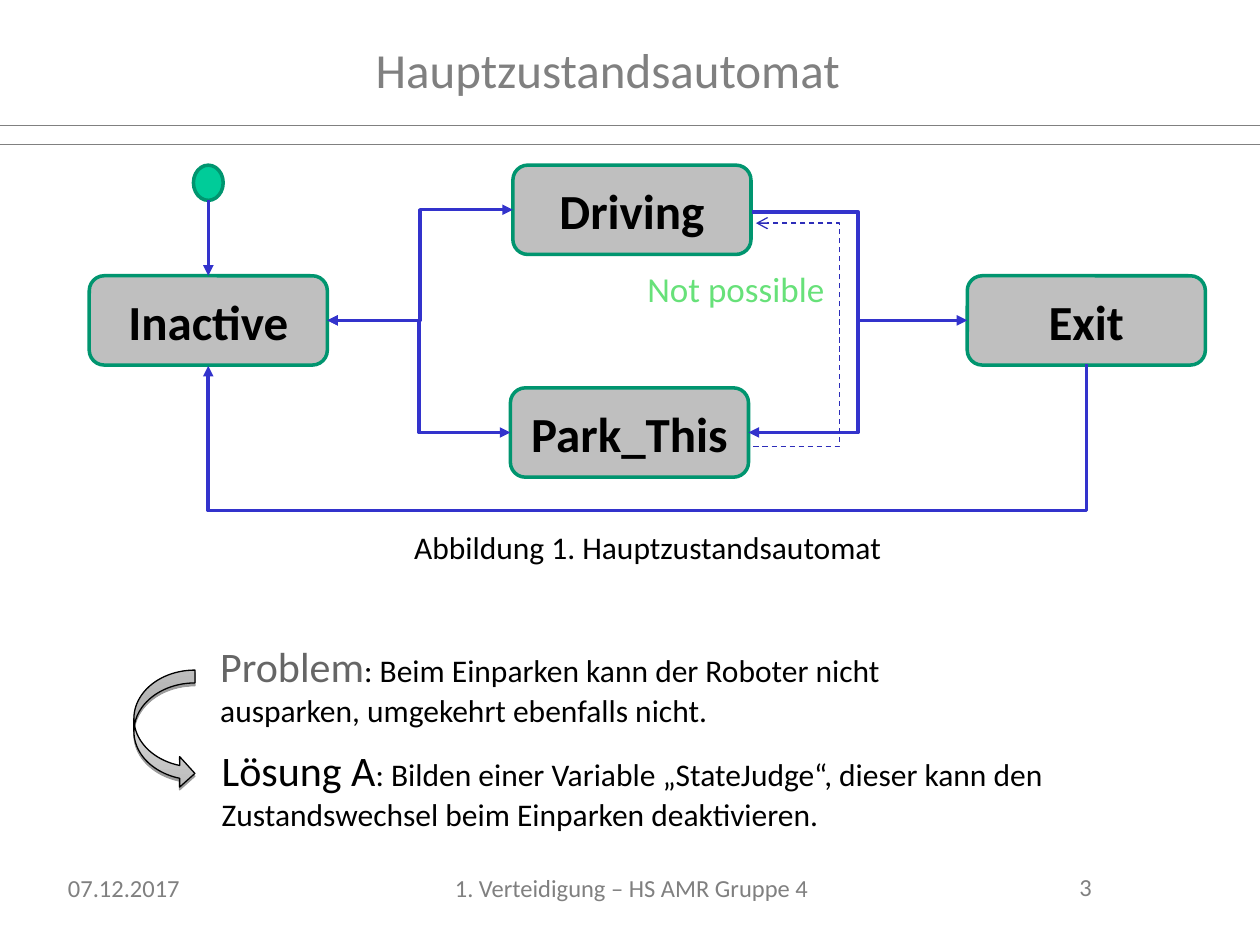
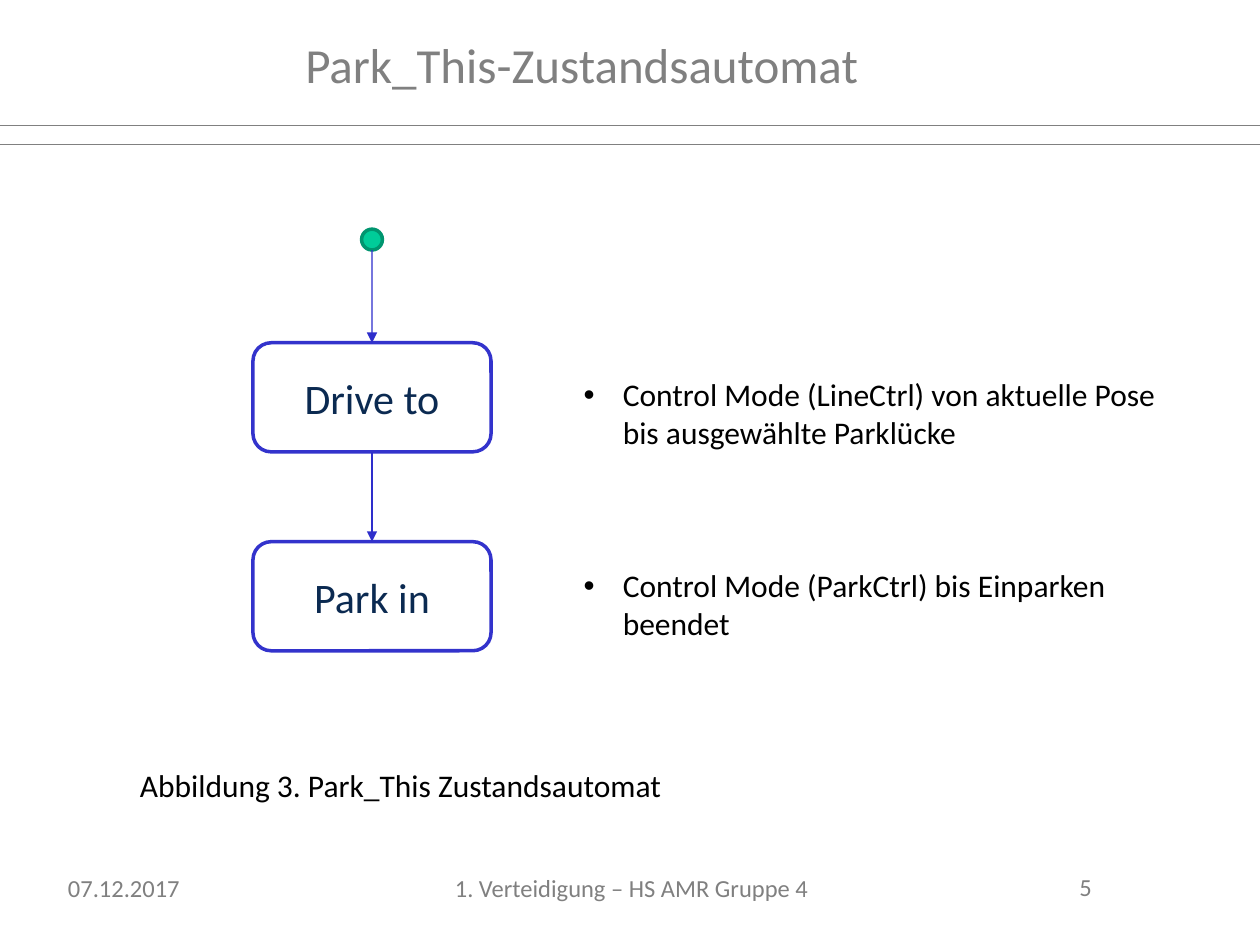
"""Build two slides about the state machines of a parking robot."""
from lxml import etree
from pptx import Presentation
from pptx.dml.color import RGBColor
from pptx.enum.dml import MSO_LINE
from pptx.enum.shapes import MSO_CONNECTOR, MSO_SHAPE
from pptx.enum.text import MSO_ANCHOR, MSO_AUTO_SIZE, PP_ALIGN
from pptx.oxml.ns import qn
from pptx.util import Cm, Pt

STRAIGHT, ELBOW = MSO_CONNECTOR.STRAIGHT, MSO_CONNECTOR.ELBOW
ROUNDED, DOT = MSO_SHAPE.ROUNDED_RECTANGLE, MSO_SHAPE.FLOWCHART_CONNECTOR
CURVED_ARROW = MSO_SHAPE.CURVED_RIGHT_ARROW
DASH = MSO_LINE.DASH
TOP, MIDDLE = MSO_ANCHOR.TOP, MSO_ANCHOR.MIDDLE
LEFT, CENTER = PP_ALIGN.LEFT, PP_ALIGN.CENTER
NO_AUTOFIT = MSO_AUTO_SIZE.NONE
SIDE_TOP, SIDE_LEFT, SIDE_BOTTOM, SIDE_RIGHT = range(4)
FONT = "Calibri"
COLORS = {
    "grey": "808080", "problem": "666666", "black": "000000", "white": "FFFFFF",
    "state": "BFBFBF", "border": "00956F", "start": "00CC99", "arrow": "3333CC",
    "dashed": "2D2DB9", "thin": "2E2ECB", "step": "0B2A51", "hint": "67E179",
    "curve_dark": "BCBCBC", "curve_light": "EDEDED",
}


def rgb(name):
    return RGBColor.from_string(COLORS[name])


def add_run(paragraph, text, size, color="black", bold=False):
    run = paragraph.add_run()
    run.text = text
    run.font.name = FONT
    run.font.size = Pt(size)
    run.font.bold = bold
    run.font.color.rgb = rgb(color)


def add_text(slide, box, *runs, wrap=True):
    frame = slide.shapes.add_textbox(*map(Cm, box)).text_frame
    frame.word_wrap = wrap
    for run in runs:
        add_run(frame.paragraphs[0], *run)


def place(placeholder, box):
    placeholder.left, placeholder.top, placeholder.width, placeholder.height = map(Cm, box)
    frame = placeholder.text_frame
    frame.auto_size = NO_AUTOFIT
    frame.vertical_anchor = TOP
    return frame


def add_frame(slide, title, title_box, number):
    paragraph = place(slide.shapes.title, title_box).paragraphs[0]
    paragraph.alignment = LEFT
    add_run(paragraph, title, 28, "grey")
    for y in (2.52, 2.92):
        add_line(slide, (0, y), (25.4, y), "grey", 0.5)
    footers = (
        ((1.12, 17.48, 2.77, 0.86), "07.12.2017"),
        ((21.51, 17.45, 2.59, 0.86), number),
        ((8.92, 17.48, 7.67, 0.86), "1. Verteidigung – HS AMR Gruppe 4"),
    )
    for box, text in footers:
        add_text(slide, box, (text, 14, "grey"), wrap=False)


def add_shape(slide, kind, box, fill, border, width=2):
    shape = slide.shapes.add_shape(kind, *map(Cm, box))
    shape.shadow.inherit = False
    if fill:
        shape.fill.solid()
        shape.fill.fore_color.rgb = rgb(fill)
    shape.line.color.rgb = rgb(border)
    shape.line.width = Pt(width)
    return shape


def add_state(slide, box, label, size, fill, border, color, bold=False):
    state = add_shape(slide, ROUNDED, box, fill, border)
    state.adjustments[0] = 0.167
    state.text_frame.vertical_anchor = MIDDLE
    paragraph = state.text_frame.paragraphs[0]
    paragraph.alignment = CENTER
    add_run(paragraph, label, size, color, bold)
    return state


def style_line(connector, color, width, head=None, tail=None):
    connector.line.color.rgb = rgb(color)
    connector.line.width = Pt(width)
    properties = connector.element.spPr
    outline = properties.find(qn("a:ln"))
    for tag, kind in (("a:headEnd", head), ("a:tailEnd", tail)):
        if kind:
            etree.SubElement(outline, qn(tag), type=kind)
    etree.SubElement(properties, qn("a:effectLst"))


def add_connector(slide, kind, begin, end):
    return slide.shapes.add_connector(kind, *map(Cm, begin + end))


def add_line(slide, begin, end, color, width, tail=None):
    line = add_connector(slide, STRAIGHT, begin, end)
    style_line(line, color, width, tail=tail)
    return line


def set_turn(connector, share):
    guides = connector.element.spPr.find(qn("a:prstGeom")).find(qn("a:avLst"))
    etree.SubElement(guides, qn("a:gd"), name="adj1", fmla=f"val {round(share * 100000)}")


def add_elbow(slide, source, source_side, target, target_side):
    elbow = add_connector(slide, ELBOW, (0, 0), (1, 1))
    elbow.begin_connect(source, source_side)
    elbow.end_connect(target, target_side)
    style_line(elbow, "arrow", 2, "triangle", "triangle")


def add_detour(slide, source, target, depth):
    """Lead an arrow from the bottom of one state below all others to another."""
    detour = add_connector(slide, ELBOW, (0, 0), (1, 1))
    detour.begin_connect(source, SIDE_BOTTOM)
    detour.end_connect(target, SIDE_BOTTOM)
    start = source.left + source.width // 2
    span = target.left + target.width // 2 - start
    thickness = Cm(0.03)
    detour.left = start + (span - thickness) // 2
    detour.top = source.top + source.height - span // 2
    detour.width, detour.height = thickness, span
    transform = detour.element.spPr.find(qn("a:xfrm"))
    transform.set("rot", "16200000")
    transform.set("flipH", "1")
    set_turn(detour, Cm(depth) / thickness)
    style_line(detour, "arrow", 2, tail="triangle")


def add_curved_arrow(slide, box):
    curve = add_shape(slide, CURVED_ARROW, box, None, "black", 0.75)
    curve.adjustments[0] = 0.21
    curve.fill.gradient()
    curve.fill.gradient_angle = 90
    for stop, color in zip(curve.fill.gradient_stops, ("curve_dark", "curve_light")):
        stop.color.rgb = rgb(color)
    effects = curve.element.spPr.find(qn("a:effectLst"))
    shadow = etree.SubElement(effects, qn("a:outerShdw"), dist=str(Pt(1.6)),
                              dir="5400000", rotWithShape="0")
    tone = etree.SubElement(shadow, qn("a:srgbClr"), val=COLORS["black"])
    etree.SubElement(tone, qn("a:alpha"), val="38000")


def add_bullets(slide, box, items, gap):
    frame = place(slide.placeholders[1], box)
    for index, item in enumerate(items):
        paragraph = frame.add_paragraph() if index else frame.paragraphs[0]
        properties = paragraph._p.get_or_add_pPr()
        properties.set("marL", str(Cm(0.79)))
        properties.set("indent", str(-Cm(0.79)))
        etree.SubElement(properties, qn("a:buChar"), char="•")
        paragraph.space_before = Pt(gap if index else 0)
        add_run(paragraph, item, 18)


def build_main_machine(slide):
    add_frame(slide, "Hauptzustandsautomat", (7.32, 0.66, 12.2, 1.45), "3")
    positions = {
        "Inactive": (1.8, 5.56), "Driving": (10.34, 3.33),
        "Park_This": (10.29, 7.82), "Exit": (19.5, 5.56),
    }
    inactive, driving, park_this, leave = (
        add_state(slide, corner + (4.8, 1.8), label, 28, "state", "border", "black", True)
        for label, corner in positions.items()
    )
    add_elbow(slide, inactive, SIDE_RIGHT, driving, SIDE_LEFT)
    add_elbow(slide, park_this, SIDE_LEFT, inactive, SIDE_RIGHT)
    add_elbow(slide, park_this, SIDE_RIGHT, leave, SIDE_LEFT)
    add_detour(slide, inactive, leave, 2.95)

    add_shape(slide, DOT, (3.9, 3.33, 0.6, 0.71), "start", "border")
    entry = add_line(slide, (4.2, 4.04), (4.2, 5.56), "arrow", 2, "triangle")
    entry.end_connect(inactive, SIDE_TOP)

    junction = add_connector(slide, ELBOW, (15.16, 4.27), (17.3, 6.5))
    junction.element.spPr.find(qn("a:prstGeom")).set("prst", "bentConnector2")
    style_line(junction, "arrow", 2)

    forbidden = add_connector(slide, ELBOW, (15.19, 9), (15.24, 4.5))
    set_turn(forbidden, 34.6)
    style_line(forbidden, "dashed", 0.75, tail="arrow")
    forbidden.line.dash_style = DASH

    add_text(slide, (12.8, 5.26, 5.61, 1.12), ("Not possible", 20, "hint"))
    add_text(slide, (8.1, 10.52, 10.8, 1.02),
             ("Abbildung 1. Hauptzustandsautomat", 18))
    add_text(slide, (4.19, 12.78, 16.74, 2.03), ("Problem", 24, "problem"),
             (": Beim Einparken kann der Roboter nicht ausparken, umgekehrt ebenfalls nicht.", 18))
    add_text(slide, (4.22, 14.88, 17.86, 2.03), ("Lösung A", 24),
             (": Bilden einer Variable „StateJudge“, dieser kann den "
              "Zustandswechsel beim Einparken deaktivieren.", 18))
    add_curved_arrow(slide, (2.7, 13.51, 1.23, 2.39))


def build_park_machine(slide):
    add_frame(slide, "Park_This-Zustandsautomat", (5.9, 0.56, 19, 1.6), "5")
    add_shape(slide, DOT, (7.29, 4.62, 0.42, 0.42), "start", "border")
    drive_to, park_in = (
        add_state(slide, (5.1, y, 4.8, 2.2), label, 24, "white", "arrow", "step")
        for label, y in (("Drive to", 6.91), ("Park in", 10.92))
    )
    entry = add_line(slide, (7.5, 5.04), (7.5, 6.91), "thin", 0.75, "triangle")
    entry.end_connect(drive_to, SIDE_TOP)
    transition = add_line(slide, (7.5, 9.11), (7.5, 10.92), "thin", 0.75, "triangle")
    transition.begin_connect(drive_to, SIDE_BOTTOM)
    transition.end_connect(park_in, SIDE_TOP)
    add_text(slide, (2.57, 15.32, 11.05, 1.02),
             ("Abbildung 3. Park_This Zustandsautomat", 18), wrap=False)
    add_bullets(slide, (11.51, 7.44, 12.6, 5.59), (
        "Control Mode (LineCtrl) von aktuelle Pose bis ausgewählte Parklücke",
        "Control Mode (ParkCtrl) bis Einparken beendet",
    ), 66)


def main():
    deck = Presentation()
    deck.slide_width, deck.slide_height = Cm(25.4), Cm(19.05)
    build_main_machine(deck.slides.add_slide(deck.slide_layouts[5]))
    build_park_machine(deck.slides.add_slide(deck.slide_layouts[1]))
    deck.save("out.pptx")


if __name__ == "__main__":
    main()
